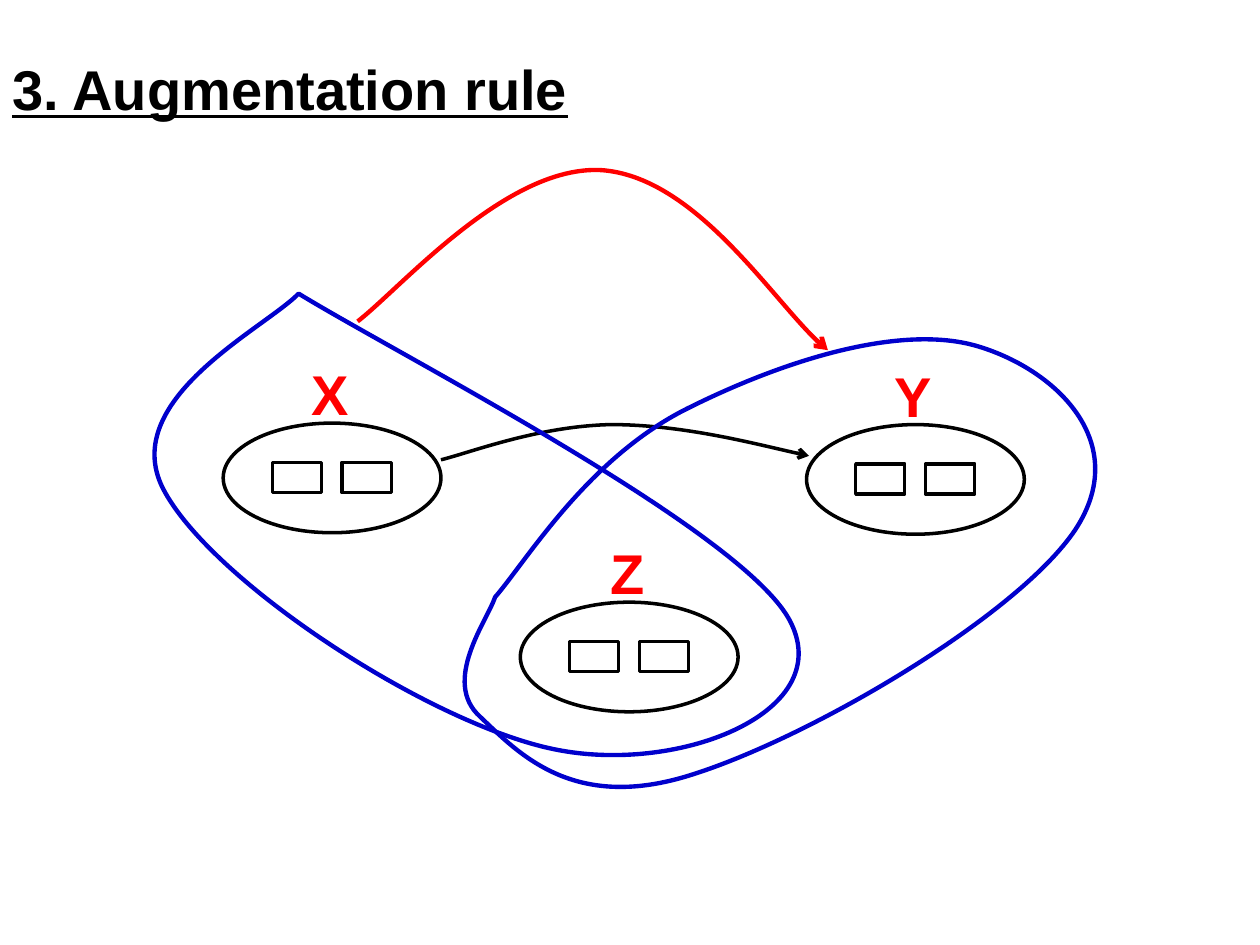
from lxml.etree import SubElement
from pptx import Presentation
from pptx.dml.color import RGBColor
from pptx.enum.shapes import MSO_SHAPE as Preset
from pptx.enum.text import MSO_ANCHOR as Anchor, MSO_AUTO_SIZE as AutoSize, PP_ALIGN as Align
from pptx.oxml.ns import qn
from pptx.util import Cm, Pt

COLORS = {"black": "000000", "red": "FF0000", "blue": "0000CC"}


def outline(shape, color, width):
    shape.shadow.inherit = False
    shape.fill.background()
    shape.line.color.rgb = RGBColor.from_string(COLORS[color])
    shape.line.width = Pt(width)


def add_curve(shapes, points, color, width, closed=False):
    """Cubic curve in cm: a start, then two control points and an end per arc."""
    corners = [(Cm(x), Cm(y)) for x, y in points]
    builder = shapes.build_freeform(*corners[0], scale=1.0)
    builder.add_line_segments(corners[1:], close=closed)
    shape = builder.convert_to_shape()
    outline(shape, color, width)
    # Merge every three line segments into one cubic arc
    segments = shape._element.findall(".//" + qn("a:lnTo"))
    for first, second, third in zip(segments[::3], segments[1::3], segments[2::3]):
        first.tag = qn("a:cubicBezTo")
        for segment in (second, third):
            first.append(segment[0])
            segment.getparent().remove(segment)
    if not closed:
        SubElement(shape.line._get_or_add_ln(), qn("a:tailEnd"), type="arrow")


presentation = Presentation()
presentation.slide_width, presentation.slide_height = Cm(25.4), Cm(19.05)
slide = presentation.slides.add_slide(presentation.slide_layouts[6])

# Title and the two groups: Z alone, X and Y with their arrow
title = slide.shapes.add_textbox(Cm(0), Cm(0.97), Cm(12.09), Cm(1.6))
z_group = slide.shapes.add_group_shape()
xy_group = slide.shapes.add_group_shape()
texts = [(title, "3. Augmentation rule", "black")]

# Attribute sets: an ellipse holding two boxes, with a letter above
for group, letter, left, top in [
    (z_group, "Z", 10.49, 12.14),
    (xy_group, "X", 4.5, 8.53),
    (xy_group, "Y", 16.26, 8.56),
]:
    for preset, dx, dy, width, height in [
        (Preset.RECTANGLE, 2.4, 0.79, 0.99, 0.61),
        (Preset.OVAL, 0, 0, 4.39, 2.21),
        (Preset.RECTANGLE, 0.99, 0.79, 0.99, 0.61),
    ]:
        shape = group.shapes.add_shape(preset, Cm(left + dx), Cm(top + dy), Cm(width), Cm(height))
        outline(shape, "black", 2)
    label = group.shapes.add_textbox(Cm(left + 1.19), Cm(top - 1.4), Cm(1.93), Cm(1.6))
    label.text_frame.vertical_anchor = Anchor.MIDDLE
    texts.append((label, letter, "red"))

# Text of the title and the letters
for box, text, color in texts:
    frame = box.text_frame
    frame.text = text
    frame.word_wrap = True
    frame.auto_size = AutoSize.SHAPE_TO_FIT_TEXT
    paragraph = frame.paragraphs[0]
    paragraph.alignment = Align.LEFT if box is title else Align.CENTER
    font = paragraph.runs[0].font
    font.name, font.size, font.bold = "Arial", Pt(32), True
    font.color.rgb = RGBColor.from_string(COLORS[color])
    if box is title:
        font.underline = True

# Arrow from X to Y
add_curve(xy_group.shapes, [
    (8.89, 9.27),
    (9.5, 9.12), (10.85, 8.59), (12.32, 8.56),
    (13.79, 8.56), (15.57, 9.04), (16.31, 9.19),
], "black", 2)

# Loop around Y and Z
add_curve(slide.shapes, [
    (9.98, 12.04),
    (10.62, 11.3), (11.81, 9.3), (13.77, 8.28),
    (15.72, 7.29), (18.16, 6.5), (19.74, 6.99),
    (21.31, 7.47), (22.83, 8.94), (21.67, 10.69),
    (20.5, 12.42), (16.36, 14.86), (13.94, 15.62),
    (11.56, 16.38), (10.46, 15.19), (9.68, 14.45),
    (8.89, 13.74), (9.83, 12.5), (9.98, 12.04),
], "blue", 2.5, closed=True)

# Loop around X and Z
add_curve(slide.shapes, [
    (6.02, 5.92),
    (8.1, 7.19), (14.86, 10.64), (15.9, 12.47),
    (16.94, 14.33), (13.72, 15.62), (11.2, 15.11),
    (8.69, 14.61), (4.37, 11.79), (3.33, 9.93),
    (2.29, 8.1), (5.33, 6.63), (6.02, 5.92),
], "blue", 2.5, closed=True)

# Arrow from loop XZ to loop YZ
add_curve(slide.shapes, [
    (7.21, 6.48),
    (8.1, 5.79), (10.21, 3.33), (12.12, 3.43),
    (14, 3.56), (15.77, 6.35), (16.69, 7.06),
], "red", 2.5)

presentation.save("out.pptx")
